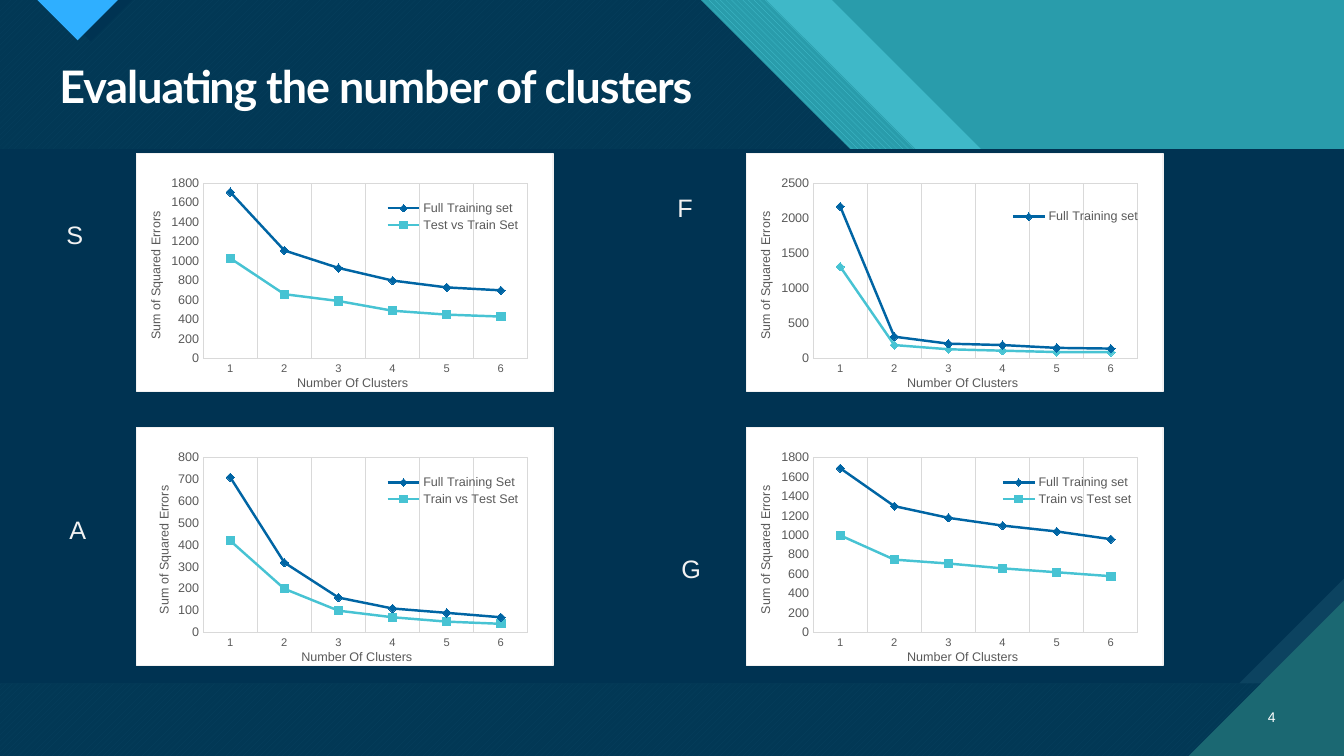
import pptx
import pptx.chart.data
import pptx.dml.color
import pptx.enum.chart
import pptx.enum.dml
import pptx.enum.shapes
import pptx.enum.text
import pptx.oxml
import pptx.oxml.ns
import pptx.util

Inches, Pt = pptx.util.Inches, pptx.util.Pt
RGB = pptx.dml.color.RGBColor
MARKER = pptx.enum.chart.XL_MARKER_STYLE
PATTERN = pptx.enum.dml.MSO_PATTERN
NAVY, STEEL, PINE = RGB(0, 0x33, 0x52), RGB(0x0C, 0x43, 0x60), RGB(0x1B, 0x68, 0x72)
TEAL, AQUA, SKY = RGB(0x29, 0x9C, 0xAB), RGB(0x47, 0xC3, 0xD3), RGB(0x2F, 0xAF, 0xFF)
BLUE, GRAY, SILVER = RGB(0, 0x65, 0xA4), RGB(0x59, 0x59, 0x59), RGB(0xD9, 0xD9, 0xD9)
WHITE, MIST = RGB(0xFF, 0xFF, 0xFF), RGB(0xF2, 0xF2, 0xF2)
WIDTH, HEIGHT = 13.33, 7.5


def xml(tag, inner):
    """Return a chart element with the given content."""
    spaces = pptx.oxml.ns.nsdecls("c", "a")
    return pptx.oxml.parse_xml(f"<c:{tag} {spaces}>{inner}</c:{tag}>")


def paint(shape, color, alpha=None, pattern=None, back=None):
    """Fill a borderless shape with a plain, see-through or hatched colour."""
    shape.shadow.inherit = False
    shape.line.fill.background()
    if pattern is not None:
        shape.fill.patterned()
        shape.fill.pattern = pattern
        shape.fill.back_color.rgb = back
    else:
        shape.fill.solid()
    shape.fill.fore_color.rgb = color
    if alpha:
        clr = shape.fill._xPr.find(".//" + pptx.oxml.ns.qn("a:srgbClr"))
        clr.append(pptx.oxml.parse_xml(
            f'<a:alpha {pptx.oxml.ns.nsdecls("a")} val="{alpha * 1000}"/>'))


def add_outline(slide, points, color, **look):
    """Draw a closed polygon through points given in inches."""
    start, *rest = [(Inches(x), Inches(y)) for x, y in points]
    builder = slide.shapes.build_freeform(*start)
    builder.add_line_segments(rest, close=True)
    paint(builder.convert_to_shape(), color, **look)


def add_panel(slide, box, color, snip=0):
    """Draw a rectangle whose lower right corner may be cut off."""
    left, top, width, height = box
    right, bottom = left + width, top + height
    add_outline(slide, [(left, top), (right, top), (right, bottom - snip),
                        (right - snip, bottom), (left, bottom)], color)


def add_backdrop(slide, box):
    """Draw the diagonal header bands, the middle panel and the corners."""
    left, top, width, height = box
    right, bottom = left + width, top + height
    add_panel(slide, box, TEAL)
    bands = [(8.25, AQUA, {"alpha": 74}),
             (7.6, AQUA, {"pattern": PATTERN.WIDE_DOWNWARD_DIAGONAL, "back": TEAL}),
             (6.95, AQUA, {"pattern": PATTERN.WIDE_UPWARD_DIAGONAL, "back": PINE}),
             (6.95, NAVY, {"alpha": 90})]
    slope = 2.97
    for edge, color, look in bands:
        add_outline(slide, [(left, top), (left + edge, top),
                            (left + edge + slope, top + slope), (right, top + slope),
                            (right, bottom), (left, bottom)], color, **look)
    for tip, half, color in ((0.9, 0.41, NAVY), (0.77, 0.4, SKY)):
        add_outline(slide, [(left + tip - half, top), (left + tip + half, top),
                            (left + tip, top + half)], color)
    panel = (left, top + 1.48, width, 5.3)
    add_panel(slide, panel, STEEL)
    add_panel(slide, panel, NAVY, snip=1.04)
    corner = 1.54
    add_outline(slide, [(right - corner, bottom), (right, bottom),
                        (right, bottom - corner)], PINE)


def add_words(slide, box, words, size, color, font="Arial"):
    """Place one line of text and return its paragraph."""
    frame = slide.shapes.add_textbox(*map(Inches, box)).text_frame
    frame.word_wrap = True
    frame.text = words
    line = frame.paragraphs[0]
    style_font(line.runs[0].font, size, color, font)
    return line


def style_font(font, size, color, name="Arial"):
    """Set the size, colour and typeface of a font."""
    font.size, font.name = Pt(size), name
    font.color.rgb = color


def add_heading(slide, box):
    """Place the slide title."""
    heading = add_words(slide, box, "Evaluating the number of clusters", 32, WHITE, "Lato")
    heading.line_spacing = 0.9
    heading.runs[0].font.bold = True
    heading.runs[0].font._element.set("spc", "-70")


def add_page_number(slide, box):
    """Place the page number at the right of its box."""
    number = add_words(slide, box, "4", 10, WHITE)
    number.alignment = pptx.enum.text.PP_ALIGN.RIGHT
    number._parent.vertical_anchor = pptx.enum.text.MSO_ANCHOR.MIDDLE


def set_layout(parent, index, x, y, w=None, h=None, inner=False):
    """Fix a chart part at fractions of the chart area."""
    for old in parent.findall(pptx.oxml.ns.qn("c:layout")):
        parent.remove(old)
    target = '<c:layoutTarget val="inner"/>' if inner else ""
    sizes = f'<c:w val="{w}"/><c:h val="{h}"/>' if w else ""
    parent.insert(index, xml("layout", (
        f'<c:manualLayout>{target}<c:xMode val="edge"/><c:yMode val="edge"/>'
        f'<c:x val="{x}"/><c:y val="{y}"/>{sizes}</c:manualLayout>')))


def style_axis(axis, title, size, place):
    """Style an axis and place its title."""
    none = pptx.enum.chart.XL_TICK_MARK.NONE
    axis.major_tick_mark = axis.minor_tick_mark = none
    style_font(axis.tick_labels.font, size, GRAY)
    axis.format.line.color.rgb = SILVER
    axis.format.line.width = Pt(0.75)
    frame = axis.axis_title.text_frame
    frame.text = title
    style_font(frame.paragraphs[0].runs[0].font, 9, GRAY)
    frame.paragraphs[0].runs[0].font.bold = False
    set_layout(axis.axis_title._element, 1, *place)
    return frame


def add_errors_chart(slide, box, top_value, step, lower, full, legend_at,
                     shift=0, lower_marker=MARKER.SQUARE, hide_lower=False):
    """Plot squared errors against the number of clusters."""
    data = pptx.chart.data.CategoryChartData()
    data.categories = [str(count) for count in range(1, 7)]
    for name, errors in (lower, full):
        data.add_series(name, errors)
    kind = pptx.enum.chart.XL_CHART_TYPE.LINE_MARKERS_STACKED
    chart = slide.shapes.add_chart(kind, *map(Inches, box), data).chart
    chart.has_title = False
    style_font(chart.font, 10, GRAY)
    plot = chart.plots[0]
    plot.vary_by_categories = False
    for series, color, marker in zip(plot.series, (AQUA, BLUE),
                                     (lower_marker, MARKER.DIAMOND)):
        series.smooth = False
        series.format.line.color.rgb = color
        series.format.line.width = Pt(1.75)
        series.marker.style, series.marker.size = marker, 6
        series.marker.format.fill.solid()
        series.marker.format.fill.fore_color.rgb = color
        series.marker.format.line.color.rgb = color

    clusters, errors = chart.category_axis, chart.value_axis
    style_axis(clusters, "Number Of Clusters", 8, (0.38 + shift / 2, 0.92))
    clusters.has_major_gridlines = True
    clusters.major_gridlines.format.line.color.rgb = SILVER
    clusters.major_gridlines.format.line.width = Pt(0.75)
    turned = style_axis(errors, "Sum of Squared Errors", 9, (0.02 + shift, 0.24))
    turned._txBody.bodyPr.set("rot", "-5400000")
    turned._txBody.bodyPr.set("vert", "horz")
    errors.has_major_gridlines = False
    errors.minimum_scale, errors.maximum_scale, errors.major_unit = 0, top_value, step

    chart.has_legend = True
    legend = chart.legend
    legend.position = pptx.enum.chart.XL_LEGEND_POSITION.RIGHT
    legend.include_in_layout = False
    style_font(legend.font, 9, GRAY)
    set_layout(legend._element, 1, *legend_at, 0.34, 0.15)
    if hide_lower:
        legend._element.insert(1, xml("legendEntry", '<c:idx val="0"/><c:delete val="1"/>'))

    area = chart._chartSpace.chart
    set_layout(area.plotArea, 0, 0.16, 0.125, 0.78, 0.737, inner=True)
    edge = '<a:ln w="9525"><a:solidFill><a:srgbClr val="{}"/></a:solidFill></a:ln>'
    area.plotArea.append(xml("spPr", "<a:noFill/>" + edge.format(SILVER)))
    area.addnext(xml("spPr", f'<a:solidFill><a:srgbClr val="{WHITE}"/></a:solidFill>'
                     + edge.format(MIST)))


def add_evaluation(slide, box):
    """Place the four lettered charts in a two by two grid."""
    left, top, column, row = box
    cells = [
        ("S", (0.56, 2.13), dict(
            top_value=1800, step=200, legend_at=(0.59, 0.19),
            lower=("Test vs Train Set", (1030, 660, 590, 490, 450, 430)),
            full=("Full Training set", (680, 450, 340, 310, 280, 270)))),
        ("F", (6.62, 1.86), dict(
            top_value=2500, step=500, legend_at=(0.62, 0.19),
            lower_marker=MARKER.DIAMOND, hide_lower=True,
            lower=("Test vs Train set", (1310, 190, 130, 110, 90, 90)),
            full=("Full Training set", (860, 120, 80, 80, 60, 50)))),
        ("A", (0.59, 5.05), dict(
            top_value=800, step=100, legend_at=(0.59, 0.19), shift=0.02,
            lower=("Train vs Test Set", (420, 200, 100, 70, 50, 40)),
            full=("Full Training Set", (290, 120, 60, 40, 40, 30)))),
        ("G", (6.66, 5.44), dict(
            top_value=1800, step=200, legend_at=(0.6, 0.19),
            lower=("Train vs Test set", (1000, 750, 710, 660, 620, 580)),
            full=("Full Training set", (690, 550, 470, 440, 420, 380))))]
    for index, (letter, spot, content) in enumerate(cells):
        down, across = divmod(index, 2)
        add_words(slide, (*spot, 0.48, 0.4), letter, 18, MIST)
        add_errors_chart(slide, (left + across * column, top + down * row, 4.14, 2.39),
                         **content)


deck = pptx.Presentation()
deck.slide_width, deck.slide_height = Inches(WIDTH), Inches(HEIGHT)
page = deck.slides.add_slide(deck.slide_layouts[6])
page.background.fill.solid()
page.background.fill.fore_color.rgb = AQUA
add_backdrop(page, (0, 0, WIDTH, HEIGHT))
add_heading(page, (0.49, 0.59, 12.26, 0.59))
add_page_number(page, (12.31, 6.91, 0.44, 0.4))
add_evaluation(page, (1.35, 1.52, 6.05, 2.72))
deck.save("out.pptx")
